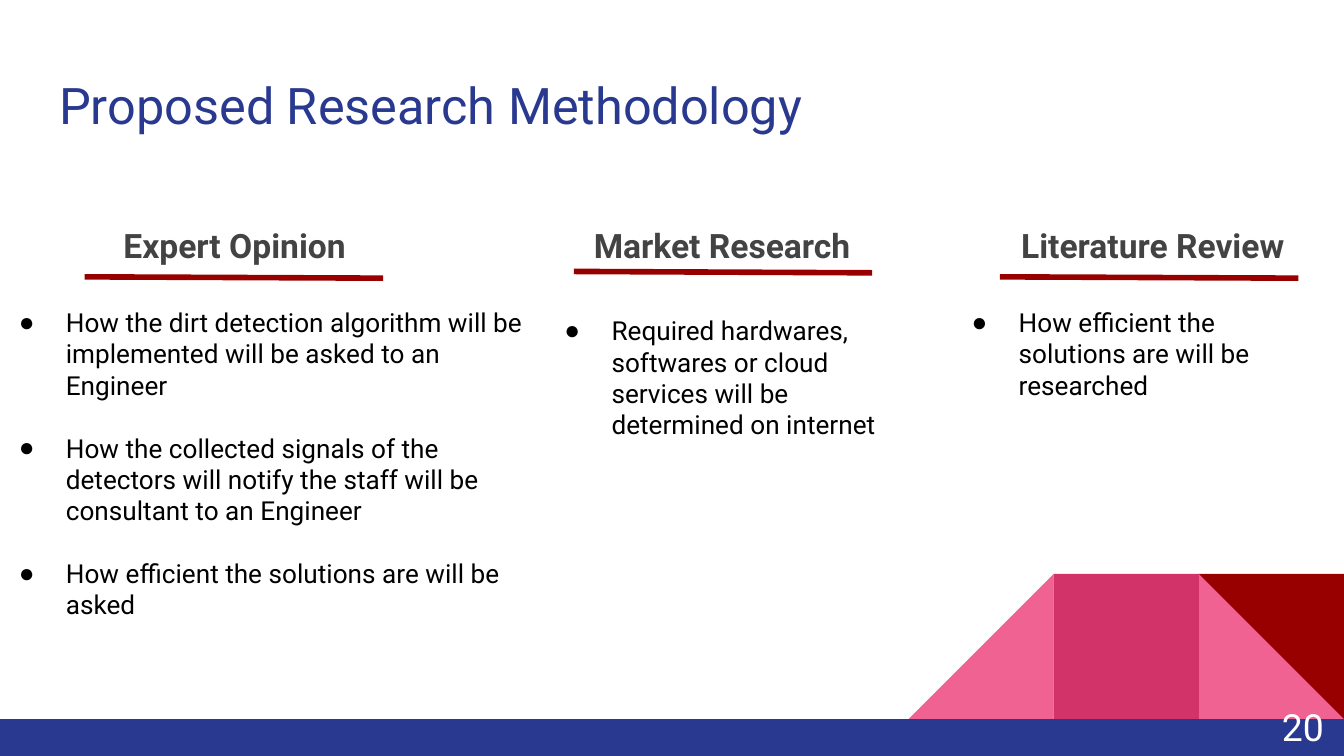
"""Build the Proposed Research Methodology slide."""
from dataclasses import dataclass

from lxml.etree import SubElement
from pptx import Presentation
from pptx.dml.color import RGBColor
from pptx.enum.shapes import MSO_CONNECTOR as Connector, MSO_SHAPE as Shape
from pptx.enum.text import MSO_ANCHOR as Anchor, MSO_AUTO_SIZE as AutoSize, PP_ALIGN as Align
from pptx.oxml.ns import qn
from pptx.util import Inches, Pt

FONT = "Roboto"
COLORS = {
    "blue": "2A3990", "pink": "F06292", "rose": "D23369", "red": "980000",
    "gray": "434343", "black": "000000", "white": "FFFFFF",
}
WIDTH = 10
HEIGHT = WIDTH * 9 / 16
TILE = 1.08
TILE_TOP = 4.27
BAR_TOP = TILE_TOP + TILE


@dataclass
class Block:
    kind: Shape
    left: float
    top: float
    width: float
    height: float
    color: str
    rotation: int = 0


@dataclass
class Column:
    heading: str
    heading_left: float
    rule_left: float
    rule_top: float
    list_box: tuple[float, float, float, float]
    items: list[str]


BLOCKS = [
    Block(Shape.RIGHT_TRIANGLE, WIDTH - TILE, TILE_TOP, TILE, TILE, "pink"),
    Block(Shape.RIGHT_TRIANGLE, WIDTH - 3 * TILE, TILE_TOP, TILE, TILE, "pink", 270),
    Block(Shape.RECTANGLE, WIDTH - 2 * TILE, TILE_TOP, TILE, TILE, "rose"),
    Block(Shape.RIGHT_TRIANGLE, WIDTH - TILE, TILE_TOP, TILE, TILE, "red", 180),
    Block(Shape.RECTANGLE, 0, BAR_TOP, WIDTH, HEIGHT - BAR_TOP, "blue"),
]

COLUMNS = [
    Column("Expert Opinion", 0.82, 0.63, 2.06, (-0.11, 2.18, 4.13, 2.56), [
        "How the dirt detection algorithm will be implemented will be asked to an Engineer",
        "How the collected signals of the detectors will notify the staff will be consultant to an Engineer",
        "How efficient the solutions are will be asked",
    ]),
    Column("Market Research", 4.32, 4.27, 2.02, (3.95, 2.24, 2.85, 1.14), [
        "Required hardwares, softwares or cloud services will be determined on internet",
    ]),
    Column("Literature Review", 7.5, 7.44, 2.06, (6.98, 2.18, 2.97, 0.91), [
        "How efficient the solutions are will be researched",
    ]),
]


def rgb(name: str) -> RGBColor:
    return RGBColor.from_string(COLORS[name])


def place(sp, left: float, top: float, width: float, height: float) -> None:
    sp.left, sp.top = Inches(left), Inches(top)
    sp.width, sp.height = Inches(width), Inches(height)


def setup_frame(sp, anchor=Anchor.TOP):
    tf = sp.text_frame
    tf.word_wrap = True
    tf.auto_size = AutoSize.NONE
    tf.vertical_anchor = anchor
    tf.margin_left = tf.margin_right = tf.margin_top = tf.margin_bottom = Inches(0.1)
    return tf


def add_run(p, text: str, size: int, color: str, bold: bool = False) -> None:
    r = p.add_run()
    r.text = text
    r.font.name = FONT
    r.font.size = Pt(size)
    r.font.bold = bold
    r.font.color.rgb = rgb(color)


def add_block(slide, block: Block) -> None:
    sp = slide.shapes.add_shape(
        block.kind, Inches(block.left), Inches(block.top),
        Inches(block.width), Inches(block.height))
    sp.rotation = block.rotation
    sp.shadow.inherit = False
    sp.fill.solid()
    sp.fill.fore_color.rgb = rgb(block.color)
    sp.line.fill.background()


def add_label(slide, box: tuple[float, float, float, float], text: str, size: int,
              color: str, bold: bool = False, align=Align.LEFT, anchor=Anchor.TOP):
    sp = slide.shapes.add_textbox(*map(Inches, box))
    p = setup_frame(sp, anchor).paragraphs[0]
    p.alignment = align
    add_run(p, text, size, color, bold)
    return p


def set_bullet(p) -> None:
    pPr = p._p.get_or_add_pPr()
    pPr.set("marL", str(Inches(0.5)))
    pPr.set("indent", str(Inches(-0.35)))
    clr = SubElement(pPr, qn("a:buClr"))
    SubElement(clr, qn("a:srgbClr"), val=COLORS["black"])
    SubElement(pPr, qn("a:buChar"), char="●")


def fill_list(sp, column: Column) -> None:
    place(sp, *column.list_box)
    tf = setup_frame(sp)
    for i, item in enumerate(column.items):
        p = tf.add_paragraph() if i else tf.paragraphs[0]
        set_bullet(p)
        p.alignment = Align.LEFT
        p.space_before = Pt(16.8 if i else 0)
        add_run(p, item, 14, "black")


def add_rule(slide, left: float, top: float) -> None:
    line = slide.shapes.add_connector(
        Connector.STRAIGHT, Inches(left + 2.22), Inches(top + 0.01), Inches(left), Inches(top))
    line.line.color.rgb = rgb("red")
    line.line.width = Pt(3)
    SubElement(line._element.spPr, qn("a:effectLst"))


def main() -> None:
    prs = Presentation()
    prs.slide_width, prs.slide_height = Inches(WIDTH), Inches(HEIGHT)
    slide = prs.slides.add_slide(prs.slide_layouts.get_by_name("Comparison"))
    title, *bodies, spare = slide.placeholders
    spare._element.getparent().remove(spare._element)

    for block in BLOCKS:
        add_block(slide, block)

    place(title, 0.34, 0.45, 9.32, 0.66)
    p = setup_frame(title).paragraphs[0]
    p.alignment = Align.LEFT
    add_run(p, "Proposed Research Methodology", 27, "blue")

    add_label(slide, (9.35, 5.19, 0.6, 0.43), "20", 20, "white",
              align=Align.RIGHT, anchor=Anchor.MIDDLE)

    for column, body in zip(COLUMNS, bodies):
        p = add_label(slide, (column.heading_left, 1.53, 2.97, 0.5), column.heading, 18, "gray", True)
        p.line_spacing = 1.15
        fill_list(body, column)
        add_rule(slide, column.rule_left, column.rule_top)

    prs.save("out.pptx")


if __name__ == "__main__":
    main()
